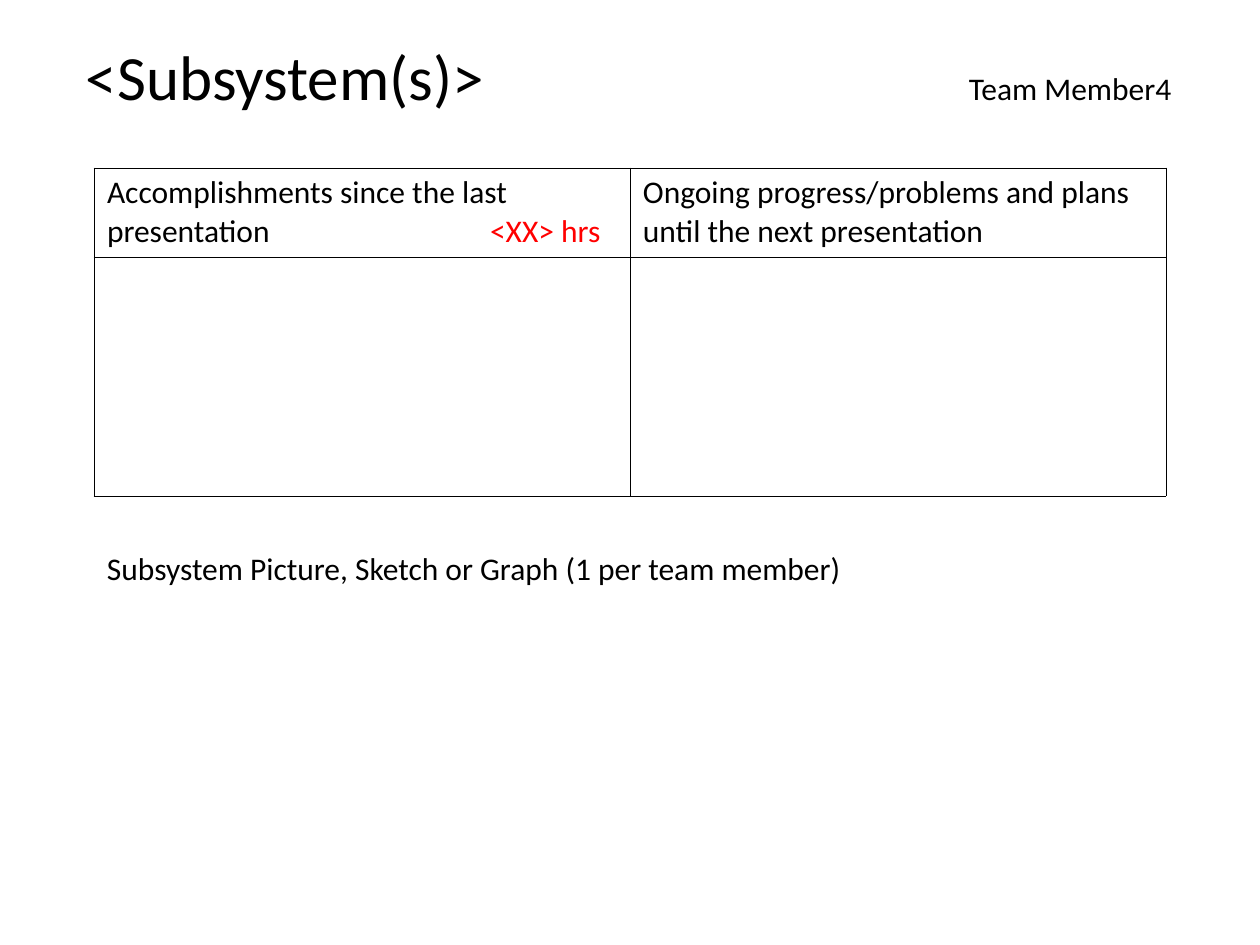
from lxml import etree
from pptx import Presentation
from pptx.dml.color import RGBColor
from pptx.enum.text import MSO_ANCHOR
from pptx.oxml.ns import qn
from pptx.util import Pt

PX = 914400 // 126
TOP = MSO_ANCHOR.TOP
FONT = "Calibri"
BLACK, RED, WHITE = "000000", "FF0000", "FFFFFF"
INSETS = {"margin_left": 13, "margin_right": 13, "margin_top": 6, "margin_bottom": 6}


def px(length):
    return length * PX


def color(value):
    return RGBColor.from_string(value)


def set_format(target, values):
    for name, value in values.items():
        setattr(target, name, value)


def set_insets(target, **changes):
    set_format(target, {name: px(value) for name, value in {**INSETS, **changes}.items()})


def write(paragraph, runs, tab=None):
    """Write (text, size, colour) runs, with an optional tab stop."""
    if tab is not None:
        tab_list = etree.SubElement(paragraph._p.get_or_add_pPr(), qn("a:tabLst"))
        etree.SubElement(tab_list, qn("a:tab"), pos=str(px(tab)), algn="l")
    for text, size, ink in runs:
        run = paragraph.add_run()
        run.text = text
        set_format(run.font, {"name": FONT, "size": Pt(size)})
        run.font.color.rgb = color(ink)


def add_text(slide, box, runs, tab=None, **insets):
    frame = slide.shapes.add_textbox(*map(px, box)).text_frame
    set_format(frame, {"word_wrap": True, "vertical_anchor": TOP})
    set_insets(frame, **insets)
    write(frame.paragraphs[0], runs, tab)


def add_borders(cell):
    properties = cell._tc.get_or_add_tcPr()
    for side in ("lnL", "lnR", "lnT", "lnB"):
        line = etree.SubElement(properties, qn("a:" + side), w=str(Pt(0.45)))
        fill = etree.SubElement(line, qn("a:solidFill"))
        etree.SubElement(fill, qn("a:srgbClr"), val=BLACK)


def add_header(slide, box):
    runs = [("<Subsystem(s)>", 36, BLACK), ("\tTeam Member4", 18, BLACK)]
    add_text(slide, box, runs, tab=883, margin_left=33)


def add_progress_table(slide, box):
    headings = [
        [("Accomplishments since the last presentation\t", 18, BLACK), ("<XX> hrs", 18, RED)],
        [("Ongoing progress/problems and plans until the next presentation", 18, BLACK)],
    ]
    heading_height = 89
    progress = slide.shapes.add_table(2, len(headings), *map(px, box)).table
    set_format(progress, {"first_row": False, "horz_banding": False})
    for column in progress.columns:
        column.width = px(box[2] // len(headings))
    for row, height in zip(progress.rows, (heading_height, box[3] - heading_height)):
        row.height = px(height)
    for cell in progress.iter_cells():
        add_borders(cell)
        cell.fill.background()
        cell.vertical_anchor = TOP
        set_insets(cell)
    for column, runs in enumerate(headings):
        tab = 383 if len(runs) > 1 else None
        write(progress.cell(0, column).text_frame.paragraphs[0], runs, tab)


def add_sketch_area(slide, box):
    add_text(slide, box, [("Subsystem Picture, Sketch or Graph (1 per team member)", 18, BLACK)])


presentation = Presentation()
set_format(presentation, {"slide_width": px(1260), "slide_height": px(945)})
slide = presentation.slides.add_slide(presentation.slide_layouts[6])
slide.background.fill.solid()
slide.background.fill.fore_color.rgb = color(WHITE)

# Subsystem title and team member
add_header(slide, (53, 32, 1155, 88))
# Accomplishments and plans
add_progress_table(slide, (94, 168, 1072, 328))
# Space for the subsystem sketch
add_sketch_area(slide, (94, 543, 1072, 315))

presentation.save("out.pptx")
